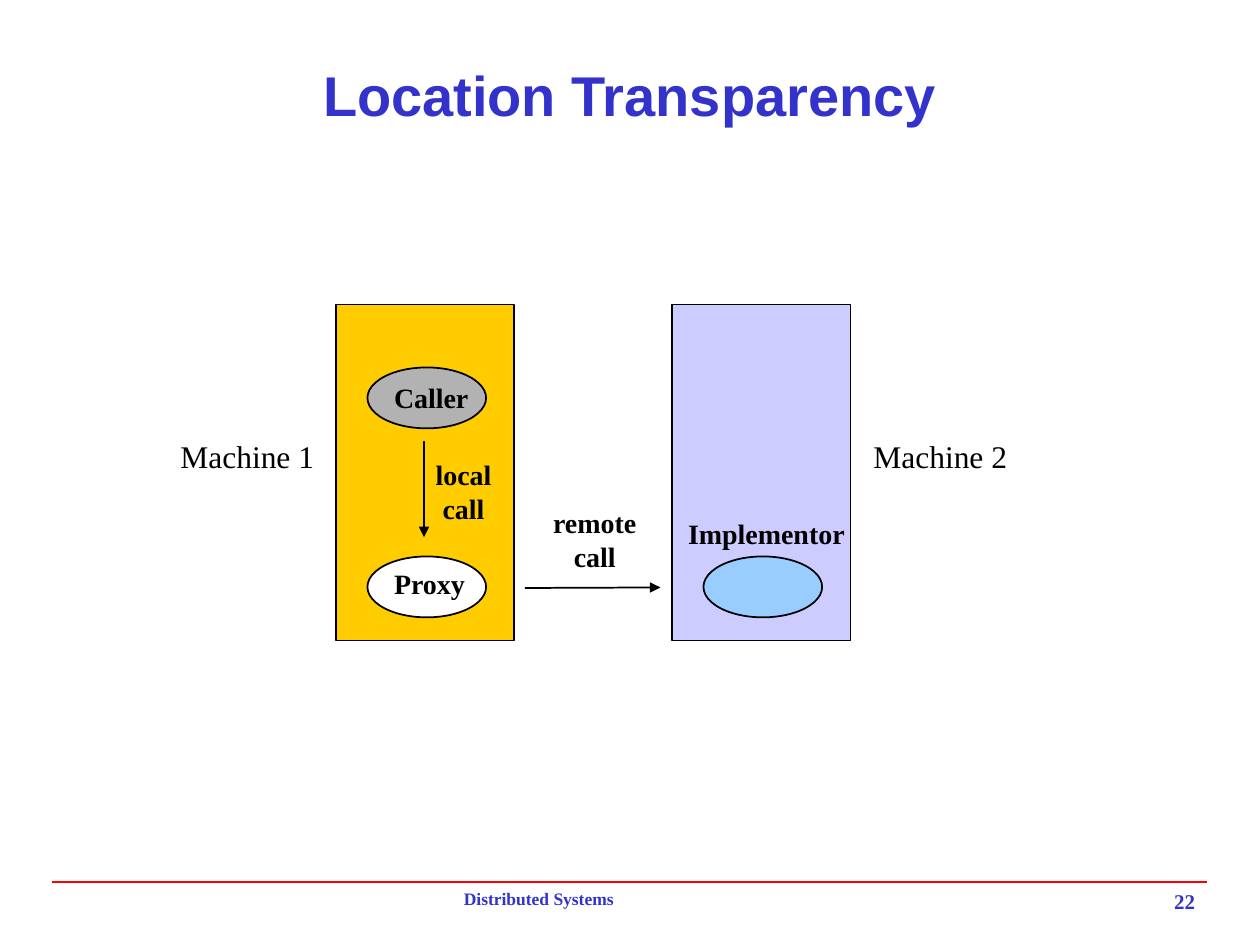
from lxml.etree import SubElement
from pptx import Presentation
from pptx.dml.color import RGBColor
from pptx.enum.shapes import MSO_CONNECTOR, MSO_SHAPE
from pptx.enum.text import MSO_ANCHOR, MSO_AUTO_SIZE, PP_ALIGN
from pptx.oxml.ns import qn
from pptx.util import Inches, Pt

BLACK = RGBColor(0x00, 0x00, 0x00)
WHITE = RGBColor(0xFF, 0xFF, 0xFF)
BLUE = RGBColor(0x33, 0x33, 0xCC)
RED = RGBColor(0xFF, 0x00, 0x00)
GOLD = RGBColor(0xFF, 0xCC, 0x00)
LAVENDER = RGBColor(0xCC, 0xCC, 0xFF)
GRAY = RGBColor(0xB2, 0xB2, 0xB2)
SKY = RGBColor(0x99, 0xCC, 0xFF)

SERIF = "Times New Roman"
UNIT = Inches(1) / 12  # the slide is a grid of 120 columns by 90 rows
COLUMNS, ROWS = 120, 90
MACHINE_SIZE = (17, 32)
OBJECT_SIZE = (11.3, 5.8)
CALLER_ROW, PROXY_ROW = 6, 24


def grid(*lengths):
    return [round(length * UNIT) for length in lengths]


def add_text(slide, text, box, size=16, font=SERIF, color=BLACK, bold=True,
             align=PP_ALIGN.LEFT, anchor=MSO_ANCHOR.TOP, wrap=False):
    frame = slide.shapes.add_textbox(*grid(*box)).text_frame
    frame.word_wrap = wrap
    frame.auto_size = MSO_AUTO_SIZE.NONE if wrap else MSO_AUTO_SIZE.SHAPE_TO_FIT_TEXT
    frame.vertical_anchor = anchor
    frame.text = text
    for paragraph in frame.paragraphs:
        paragraph.alignment = align
        paragraph.font.size = Pt(size)
        paragraph.font.name = font
        paragraph.font.bold = bold
        paragraph.font.color.rgb = color


def add_outlined(slide, preset, box, fill):
    shape = slide.shapes.add_shape(preset, *grid(*box))
    shape.shadow.inherit = False
    shape.fill.solid()
    shape.fill.fore_color.rgb = fill
    shape.line.color.rgb = BLACK
    shape.line.width = Pt(1)


def add_line(slide, start, end, color=BLACK, arrow=False):
    line = slide.shapes.add_connector(MSO_CONNECTOR.STRAIGHT, *grid(*start, *end))
    line.line.color.rgb = color
    line.line.width = Pt(1)
    if arrow:
        SubElement(line.line._get_or_add_ln(), qn("a:tailEnd"), type="triangle")
    SubElement(line._element.spPr, qn("a:effectLst"))


def add_machine(slide, left, top, fill, name, name_left):
    add_outlined(slide, MSO_SHAPE.RECTANGLE, (left, top, *MACHINE_SIZE), fill)
    add_text(slide, name, (name_left, top + 12, 15.5, 4.8), size=18, bold=False)


def add_object(slide, left, top, row, fill):
    add_outlined(slide, MSO_SHAPE.OVAL, (left + 3, top + row, *OBJECT_SIZE), fill)


def add_calling_machine(slide, left, top):
    add_machine(slide, left, top, GOLD, "Machine 1", left - 16)
    add_object(slide, left, top, CALLER_ROW, GRAY)
    add_object(slide, left, top, PROXY_ROW, WHITE)
    add_text(slide, "Caller", (left + 4.35, top + 6.65, 9.8, 4.35))
    add_text(slide, "Proxy", (left + 4.35, top + 24.4, 9.5, 4.35))
    add_line(slide, (left + 8.38, top + 13), (left + 8.38, top + 22.15), arrow=True)
    add_text(slide, "local\ncall", (left + 8.15, top + 14, 8, 7.6),
             align=PP_ALIGN.CENTER)


def add_remote_machine(slide, left, top):
    add_machine(slide, left, top, LAVENDER, "Machine 2", left + 18)
    add_object(slide, left, top, PROXY_ROW, SKY)
    add_text(slide, "Implementor", (left + 0.35, top + 19.6, 17.6, 4.35))


def add_remote_call(slide, left, right, top):
    """Fill the gap between the two machines."""
    add_line(slide, (left + 1, top + 27), (right - 1.1, top + 26.95), arrow=True)
    add_text(slide, "remote\ncall", (left + 2.35, top + 18.6, 10.6, 7.6),
             align=PP_ALIGN.CENTER)


def add_footer(slide, left, top, width):
    right = left + width
    add_line(slide, (left, top), (right, top), color=RED)
    add_text(slide, "Distributed Systems", (left + 38, top, 38, 4),
             size=10, color=BLUE, wrap=True)
    add_text(slide, "22", (right - 25, top, 25, 4),
             size=12, color=BLUE, align=PP_ALIGN.RIGHT, wrap=True)


def main():
    presentation = Presentation()
    presentation.slide_width, presentation.slide_height = grid(COLUMNS, ROWS)
    slide = presentation.slides.add_slide(presentation.slide_layouts[6])

    add_footer(slide, 5, 84, COLUMNS - 10)
    add_text(slide, "Location Transparency", (6, 5, COLUMNS - 12, 8), size=32,
             font="Arial", color=BLUE, align=PP_ALIGN.CENTER,
             anchor=MSO_ANCHOR.MIDDLE, wrap=True)
    caller_left, remote_left, top = 32, 64, 29
    add_remote_machine(slide, remote_left, top)
    add_calling_machine(slide, caller_left, top)
    add_remote_call(slide, caller_left + MACHINE_SIZE[0], remote_left, top)
    presentation.save("out.pptx")


if __name__ == "__main__":
    main()
